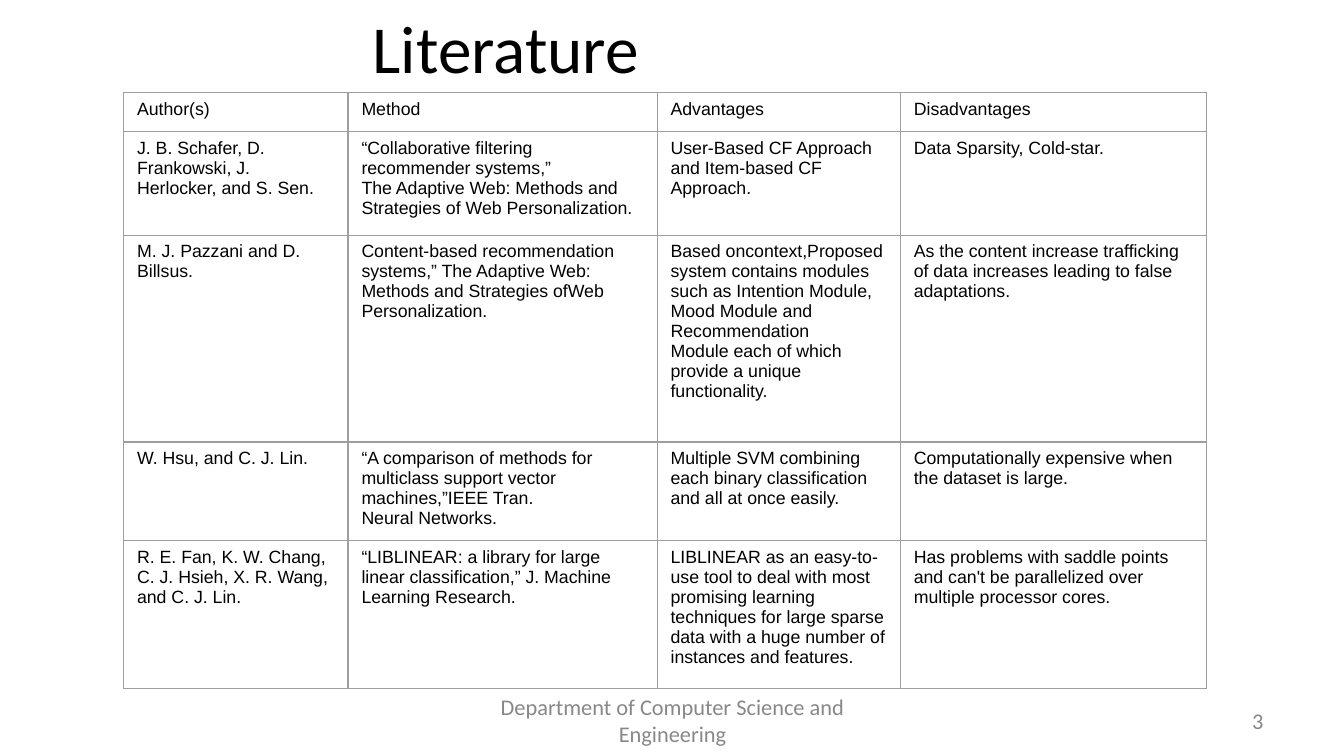
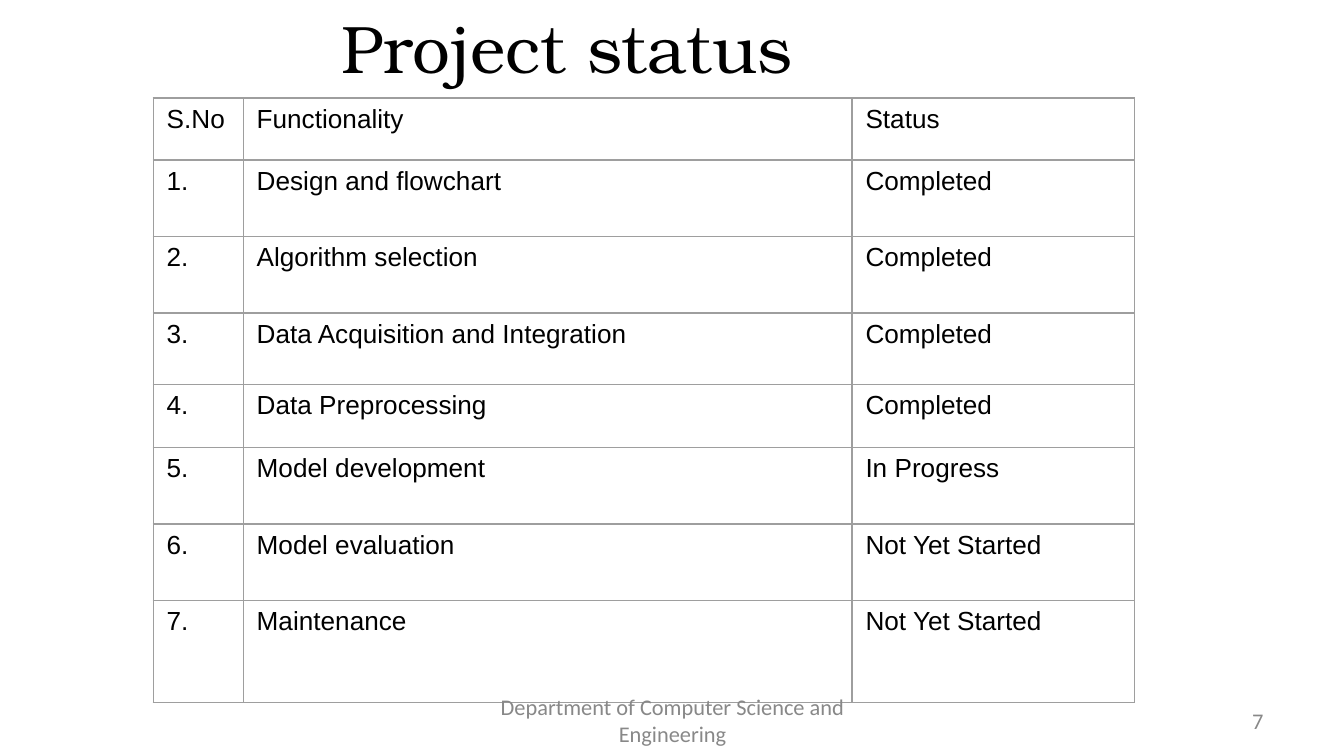
from dataclasses import dataclass

from lxml import etree
from pptx import Presentation
from pptx.dml.color import RGBColor
from pptx.enum.text import MSO_ANCHOR, PP_ALIGN
from pptx.oxml.ns import qn
from pptx.slide import Slide
from pptx.table import _Cell
from pptx.text.text import TextFrame
from pptx.util import Inches, Pt

CENTER, RIGHT = PP_ALIGN.CENTER, PP_ALIGN.RIGHT
MIDDLE = MSO_ANCHOR.MIDDLE

SLIDE_WIDTH = Inches(10)
SLIDE_HEIGHT = SLIDE_WIDTH * 9 // 16

BLACK, FOOTER_GRAY, BORDER_GRAY = "000000", "888888", "9E9E9E"
BODY_FONT, FOOTER_FONT = "Arial", "Calibri"
BORDER_WIDTH = Pt(0.75)
DEPARTMENT = "Department of Computer Science and Engineering"


@dataclass(frozen=True)
class TextStyle:
    font: str
    size: float
    color: str = BLACK
    align: PP_ALIGN | None = None


@dataclass(frozen=True)
class Box:
    left: float
    top: float
    width: float
    height: float


@dataclass(frozen=True)
class TableSlide:
    title: str
    title_font: str
    title_insets: tuple[float, float]
    number: int
    left: float
    top: float
    columns: list[float]
    row_heights: list[float]
    text_size: float
    rows: list[tuple[str, ...]]


TITLE_BOX = Box(0.48, 0, 6.69, 0.69)
FOOTER_BOX = Box(3.42, 5.21, 3.17, 0.3)
NUMBER_BOX = Box(7.17, 5.21, 2.33, 0.3)

LITERATURE = TableSlide(
    title="Literature", title_font="Calibri", title_insets=(0.1, 0.22), number=3,
    left=0.92, top=0.69,
    columns=[1.67, 2.3, 1.81, 2.28],
    row_heights=[0.29, 0.77, 1.54, 0.73, 1.1],
    text_size=9.5,
    rows=[
        ("Author(s)", "Method", "Advantages", "Disadvantages"),
        ("J. B. Schafer, D. Frankowski, J. Herlocker, and S. Sen.",
         "“Collaborative filtering recommender systems,”\n"
         "The Adaptive Web: Methods and Strategies of Web Personalization.",
         "User-Based CF Approach and Item-based CF Approach.",
         "Data Sparsity, Cold-star."),
        ("M. J. Pazzani and D. Billsus.",
         "Content-based recommendation systems,” The Adaptive Web: "
         "Methods and Strategies ofWeb Personalization.",
         "Based oncontext,Proposed system contains modules such as "
         "Intention Module, Mood Module and Recommendation\n"
         "Module each of which provide a unique functionality.",
         "As the content increase trafficking of data increases "
         "leading to false adaptations."),
        ("W. Hsu, and C. J. Lin.",
         "“A comparison of methods for multiclass support vector "
         "machines,”IEEE Tran.\nNeural Networks.",
         "Multiple SVM combining each binary classification and all at once easily.",
         "Computationally expensive when the dataset is large."),
        ("R. E. Fan, K. W. Chang, C. J. Hsieh, X. R. Wang, and C. J. Lin.",
         "“LIBLINEAR: a library for large linear classification,” "
         "J. Machine Learning Research.",
         "LIBLINEAR as an easy-to-use tool to deal with most promising learning "
         "techniques for large sparse data with a huge number of instances "
         "and features.",
         "Has problems with saddle points and can't be parallelized "
         "over multiple processor cores."),
    ],
)

TASKS = [
    ("Design and flowchart", "Completed"),
    ("Algorithm selection", "Completed"),
    ("Data Acquisition and Integration", "Completed"),
    ("Data Preprocessing", "Completed"),
    ("Model development", "In Progress"),
    ("Model evaluation", "Not Yet Started"),
    ("Maintenance", "Not Yet Started"),
]

PROJECT_STATUS = TableSlide(
    title="Project status", title_font="TeX Gyre Bonum",
    title_insets=(0.89, 0.1), number=7,
    left=1.14, top=0.73,
    columns=[0.67, 4.53, 2.1],
    row_heights=[0.46, 0.57, 0.57, 0.53, 0.47, 0.57, 0.57, 0.76],
    text_size=14,
    rows=[("S.No", "Functionality", "Status")]
    + [(f"{number}.", *task) for number, task in enumerate(TASKS, start=1)],
)


def rgb(color: str) -> RGBColor:
    return RGBColor.from_string(color)


def write(frame: TextFrame, text: str, style: TextStyle) -> None:
    frame.word_wrap = True
    frame.text = text
    for paragraph in frame.paragraphs:
        paragraph.alignment = style.align
        for run in paragraph.runs:
            run.font.name = style.font
            run.font.size = Pt(style.size)
            run.font.color.rgb = rgb(style.color)


def add_label(slide: Slide, box: Box, text: str, style: TextStyle,
              insets: tuple[float, float] = (0.1, 0.1)) -> None:
    """Add vertically centred text; insets are the left and right margins."""
    frame = slide.shapes.add_textbox(
        Inches(box.left), Inches(box.top), Inches(box.width), Inches(box.height)
    ).text_frame
    frame.margin_left, frame.margin_right = map(Inches, insets)
    frame.vertical_anchor = MIDDLE
    write(frame, text, style)


def add_borders(cell: _Cell) -> None:
    properties = cell._tc.get_or_add_tcPr()
    for side in ("a:lnL", "a:lnR", "a:lnT", "a:lnB"):
        line = etree.SubElement(properties, qn(side), w=str(BORDER_WIDTH))
        fill = etree.SubElement(line, qn("a:solidFill"))
        etree.SubElement(fill, qn("a:srgbClr"), val=BORDER_GRAY)


def add_grid(slide: Slide, content: TableSlide) -> None:
    table = slide.shapes.add_table(
        len(content.rows), len(content.columns),
        Inches(content.left), Inches(content.top),
        Inches(sum(content.columns)), Inches(sum(content.row_heights)),
    ).table
    table.first_row = table.horz_banding = False
    for column, width in zip(table.columns, content.columns):
        column.width = Inches(width)
    style = TextStyle(BODY_FONT, content.text_size)
    for row, height, texts in zip(table.rows, content.row_heights, content.rows):
        row.height = Inches(height)
        for cell, text in zip(row.cells, texts):
            write(cell.text_frame, text, style)
            add_borders(cell)
            cell.fill.background()


def add_table_slide(presentation: Presentation, content: TableSlide) -> None:
    slide = presentation.slides.add_slide(presentation.slide_layouts[6])
    add_label(slide, NUMBER_BOX, str(content.number),
              TextStyle(FOOTER_FONT, 12, FOOTER_GRAY, RIGHT))
    add_label(slide, TITLE_BOX, content.title,
              TextStyle(content.title_font, 36, align=CENTER), content.title_insets)
    add_grid(slide, content)
    add_label(slide, FOOTER_BOX, DEPARTMENT,
              TextStyle(FOOTER_FONT, 12, FOOTER_GRAY, CENTER))


def main() -> None:
    presentation = Presentation()
    presentation.slide_width = SLIDE_WIDTH
    presentation.slide_height = SLIDE_HEIGHT
    for content in (LITERATURE, PROJECT_STATUS):
        add_table_slide(presentation, content)
    presentation.save("out.pptx")


if __name__ == "__main__":
    main()
